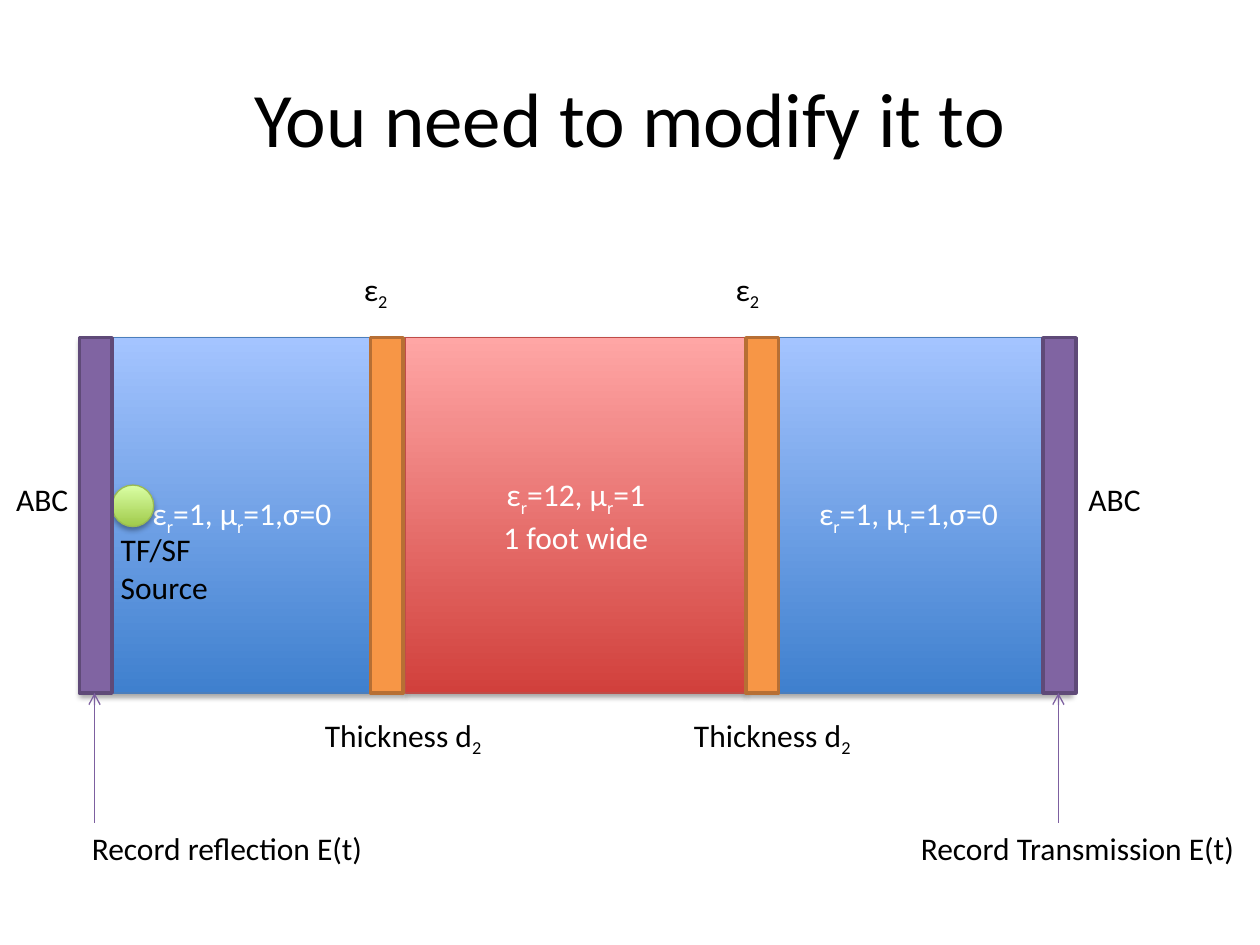
from lxml import etree
from pptx import Presentation
from pptx.dml.color import RGBColor
from pptx.enum.shapes import MSO_CONNECTOR, MSO_SHAPE
from pptx.enum.text import MSO_ANCHOR, MSO_AUTO_SIZE, PP_ALIGN
from pptx.oxml.ns import qn
from pptx.util import Inches, Pt

RECTANGLE, OVAL = MSO_SHAPE.RECTANGLE, MSO_SHAPE.OVAL
STRAIGHT = MSO_CONNECTOR.STRAIGHT
MIDDLE, CENTER, LEFT = MSO_ANCHOR.MIDDLE, PP_ALIGN.CENTER, PP_ALIGN.LEFT
GROW = MSO_AUTO_SIZE.SHAPE_TO_FIT_TEXT

FONT = "Calibri"
COLORS = {
    "text": "000000", "light_text": "FFFFFF", "shadow": "000000", "arrow": "7D60A0",
    "air_dark": "3F80CE", "air_light": "A4C4FF", "air_line": "4B7EBC",
    "slab_dark": "D1403C", "slab_light": "FFA6A5", "slab_line": "BF4C48",
    "source_dark": "A0CA4A", "source_light": "DAFFA5", "source_line": "98B955",
    "absorber": "8064A2", "absorber_line": "5F4A78",
    "coating": "F79646", "coating_line": "B76F34",
}
AIR = "ε_r=1, μ_r=1,σ=0"
STRIP_WIDTH = 0.26


def color(name):
    """Return the named palette colour."""
    return RGBColor.from_string(COLORS[name])


def write(text_frame, lines, text_color, alignment, size=18):
    """Write lines in which an underscore lowers the next character."""
    text_frame.text = "\n".join(lines)
    for paragraph, line in zip(text_frame.paragraphs, lines):
        paragraph.alignment = alignment
        first, *rest = line.split("_")
        pieces = [(first, False)]
        for part in rest:
            pieces += [(part[0], True), (part[1:], False)]
        paragraph.text = ""
        for text, lowered in pieces:
            if not text:
                continue
            run = paragraph.add_run()
            run.text = text
            run.font.name = FONT
            run.font.size = Pt(size)
            run.font.color.rgb = color(text_color)
            if lowered:
                run.font._element.set("baseline", "-25000")


def add_label(slide, left, top, width, height, *lines):
    """Add an unwrapped black label."""
    box = slide.shapes.add_textbox(Inches(left), Inches(top), Inches(width), Inches(height))
    write(box.text_frame, lines, "text", LEFT)
    box.text_frame.word_wrap = False
    box.text_frame.auto_size = GROW


def add_block(slide, kind, left, top, width, height, line_color, line_width):
    """Add an outlined preset shape without a shadow."""
    shape = slide.shapes.add_shape(kind, Inches(left), Inches(top), Inches(width), Inches(height))
    shape.shadow.inherit = False
    shape.line.color.rgb = color(line_color)
    shape.line.width = Pt(line_width)
    return shape


def add_gradient_block(slide, kind, left, top, width, height, theme, lines=()):
    """Add a shadowed shape that fades from dark at the foot to light at the top."""
    shape = add_block(slide, kind, left, top, width, height, theme + "_line", 0.75)
    shape.fill.gradient()
    shape.fill.gradient_angle = 90
    for stop, shade in zip(shape.fill.gradient_stops, ("_dark", "_light")):
        stop.color.rgb = color(theme + shade)
    effects = shape._element.spPr.find(qn("a:effectLst"))
    shadow = etree.SubElement(effects, qn("a:outerShdw"), blurRad="40000", dist="23000",
                              dir="5400000", rotWithShape="0")
    shade = etree.SubElement(shadow, qn("a:srgbClr"), val=COLORS["shadow"])
    etree.SubElement(shade, qn("a:alpha"), val="35000")
    if lines:
        shape.text_frame.vertical_anchor = MIDDLE
        write(shape.text_frame, lines, "light_text", CENTER)


def add_strip(slide, left, top, height, theme):
    """Add a thin solid layer."""
    strip = add_block(slide, RECTANGLE, left, top, STRIP_WIDTH, height, theme + "_line", 2)
    strip.fill.solid()
    strip.fill.fore_color.rgb = color(theme)


def add_arrow(slide, x, start, end):
    """Add a vertical arrow from start to end."""
    arrow = slide.shapes.add_connector(STRAIGHT, Inches(x), Inches(start), Inches(x), Inches(end))
    arrow.line.color.rgb = color("arrow")
    arrow.line.width = Pt(0.75)
    properties = arrow._element.spPr
    etree.SubElement(properties.get_or_add_ln(), qn("a:tailEnd"), type="arrow")
    etree.SubElement(properties, qn("a:effectLst"))


def add_title(slide, left, top, width, height):
    """Fill the title placeholder."""
    title = slide.shapes.title
    title.left, title.top = Inches(left), Inches(top)
    title.width, title.height = Inches(width), Inches(height)
    title.text_frame.vertical_anchor = MIDDLE
    write(title.text_frame, ["You need to modify it to"], "text", CENTER, 44)


def add_media(slide, left, top, height):
    """Draw the three media and the wave source."""
    air_width, slab_width = 2.58, 2.7
    slab_left = left + air_width + 0.01
    for air_left in (slab_left + slab_width, left):
        add_gradient_block(slide, RECTANGLE, air_left, top, air_width, height, "air", [AIR])
    add_gradient_block(slide, RECTANGLE, slab_left, top, slab_width, height, "slab",
                       ["ε_r=12, μ_r=1", "1 foot wide"])
    add_gradient_block(slide, OVAL, left + STRIP_WIDTH, top + 1.17, 0.33, 0.33, "source")
    add_label(slide, left + 0.23, top + 1.48, 0.9, 0.71, "TF/SF", "Source")


def add_absorbers(slide, left, top, width, height):
    """Draw the absorbing ends with their labels and recording arrows."""
    bottom = top + height
    right = left + width
    ends = [
        (left, left - 0.6, left, 2.39, "Record reflection E(t)"),
        (right - STRIP_WIDTH, right, right - 1.33, 2.74, "Record Transmission E(t)"),
    ]
    for strip_left, name_left, record_left, record_width, record in ends:
        add_strip(slide, strip_left, top, height, "absorber")
        add_label(slide, name_left, top + 1.08, 0.62, 0.4, "ABC")
        add_label(slide, record_left, bottom + 1.03, record_width, 0.4, record)
        add_arrow(slide, strip_left + 0.12, bottom + 1.03, bottom)


def add_coatings(slide, top, height):
    """Draw the two coatings with their permittivity and thickness labels."""
    for strip_left, symbol_left, thickness_left in ((2.94, 2.79, 2.48), (5.92, 5.74, 5.41)):
        add_strip(slide, strip_left, top, height, "coating")
        add_label(slide, symbol_left, top - 0.59, 0.4, 0.4, "ε_2")
        add_label(slide, thickness_left, top + height + 0.13, 1.47, 0.4, "Thickness d_2")


def main():
    """Build and save the slide."""
    presentation = Presentation()
    presentation.slide_width, presentation.slide_height = Inches(10), Inches(7.5)
    slide = presentation.slides.add_slide(presentation.slide_layouts[5])
    left, top, width, height = 0.63, 2.68, 7.91, 2.82
    add_title(slide, 0.5, 0.3, 9, 1.25)
    add_media(slide, left, top, height)
    add_absorbers(slide, left, top, width, height)
    add_coatings(slide, top, height)
    presentation.save("out.pptx")


main()
